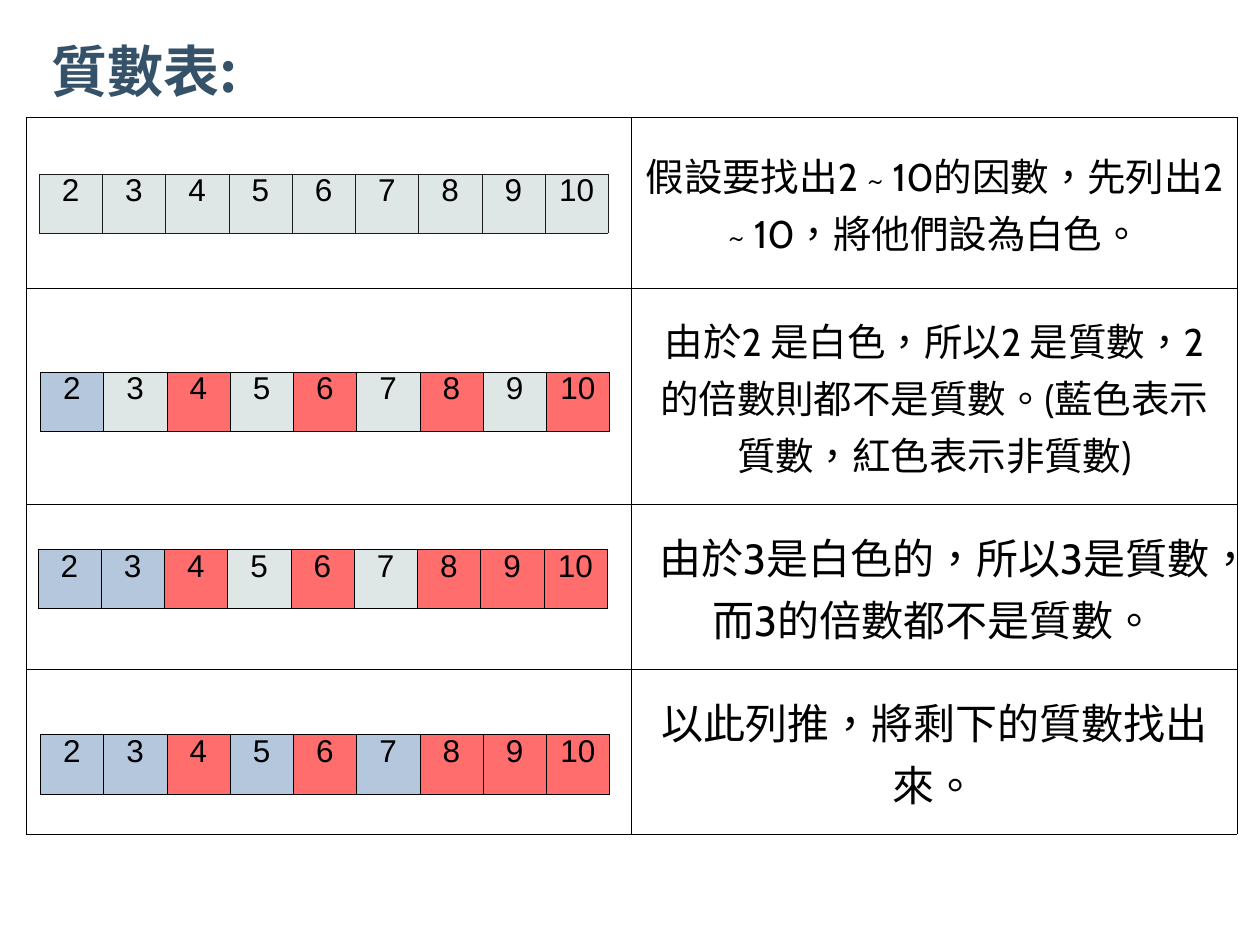
from dataclasses import dataclass

from lxml.etree import SubElement
from pptx import Presentation
from pptx.dml.color import RGBColor
from pptx.enum.text import MSO_ANCHOR, PP_ALIGN
from pptx.oxml.ns import qn
from pptx.util import Inches, Pt


@dataclass(frozen=True)
class Theme:
    ink: str = "000000"
    edge: str = "1C1C1C"
    title: str = "355269"
    paper: str = "FFFFFF"
    open: str = "DEE7E5"
    prime: str = "B4C7DC"
    multi: str = "FF6D6D"
    head: int = 32
    large: int = 24
    body: int = 22
    num: int = 18
    hair: float = 0.06
    latin: str = "Cabin"
    digit: str = "Arial"
    asian: str = "Noto Sans CJK SC"


def write(frame, text, size, font, color, asian, bold=False, align=None, space=None):
    para = frame.paragraphs[0]
    para.alignment = align
    para.line_spacing = space
    run = para.add_run()
    run.text = text
    run.font.size = Pt(size)
    run.font.bold = bold
    run.font.name = font
    run.font.color.rgb = RGBColor.from_string(color)
    props = run.font._element
    props.set("lang", "zh-TW")
    SubElement(props, qn("a:ea")).set("typeface", asian)


class Deck:
    def __init__(self, theme):
        self.theme = theme
        self.file = Presentation()
        self.file.slide_width, self.file.slide_height = Inches(10), Inches(7.5)
        self.slide = self.file.slides.add_slide(self.file.slide_layouts[6])

    def title(self, text, left, top, width, height):
        box = self.slide.shapes.add_textbox(
            Inches(left), Inches(top), Inches(width), Inches(height))
        box.text_frame.word_wrap = True
        write(box.text_frame, text, size=self.theme.head, font=self.theme.asian,
              color=self.theme.title, asian=self.theme.asian, bold=True)

    def grid(self, left, top, cols, rows):
        shape = self.slide.shapes.add_table(
            len(rows), len(cols), Inches(left), Inches(top),
            Inches(sum(cols)), Inches(sum(rows)))
        table = shape.table
        table.first_row = table.horz_banding = False
        for col, width in zip(table.columns, cols):
            col.width = Inches(width)
        for row, height in zip(table.rows, rows):
            row.height = Inches(height)
        return table

    def cell(self, cell, fill, edge):
        # Borders come before the fill in the cell properties
        props = cell._tc.get_or_add_tcPr()
        for side in ("lnL", "lnR", "lnT", "lnB"):
            line = SubElement(props, qn(f"a:{side}"), w=str(Pt(self.theme.hair)))
            solid = SubElement(line, qn("a:solidFill"))
            SubElement(solid, qn("a:srgbClr"), val=edge)
        cell.fill.solid()
        cell.fill.fore_color.rgb = RGBColor.from_string(fill)

    def steps(self, left, top, cols, rows, notes):
        theme = self.theme
        table = self.grid(left, top, cols, rows)
        for cell in table.iter_cells():
            self.cell(cell, theme.paper, theme.ink)
        for row, (text, size) in enumerate(notes):
            cell = table.cell(row, 1)
            cell.vertical_anchor = MSO_ANCHOR.MIDDLE
            write(cell.text_frame, text, size=size, font=theme.latin, color=theme.ink,
                  asian=theme.asian, align=PP_ALIGN.CENTER, space=1.02)

    def strip(self, left, top, primes, multis, edge):
        theme = self.theme
        nums = range(2, 11)
        table = self.grid(left, top, [4.52 / len(nums)] * len(nums), [0.47])
        for cell, num in zip(table.iter_cells(), nums):
            fill = (theme.prime if num in primes
                    else theme.multi if num in multis else theme.open)
            self.cell(cell, fill, edge)
            write(cell.text_frame, str(num), size=theme.num, font=theme.digit,
                  color=theme.ink, asian=theme.asian, align=PP_ALIGN.CENTER, space=0.76)


def main():
    theme = Theme()
    deck = Deck(theme)

    # Steps of the sieve
    deck.steps(0.21, 0.93, [4.8, 4.81], [1.36, 1.71, 1.31, 1.31], [
        ("假設要找出2 ~ 10的因數，先列出2 ~ 10，將他們設為白色。", theme.body),
        ("由於2 是白色，所以2 是質數，2 的倍數則都不是質數。(藍色表示質數，紅色表示非質數)",
         theme.body),
        ("由於3是白色的，所以3是質數，而3的倍數都不是質數。", theme.large),
        ("以此列推，將剩下的質數找出來。", theme.large),
    ])

    # Title
    deck.title("質數表:", 0.31, 0.24, 4.02, 0.5)

    # Number strips, one for each step
    evens = {4, 6, 8, 10}
    for left, top, primes, multis, edge in (
        (0.31, 1.38, set(), set(), theme.edge),
        (0.32, 2.95, {2}, evens, theme.ink),
        (0.3, 4.36, {2, 3}, evens | {9}, theme.ink),
        (0.32, 5.83, {2, 3, 5, 7}, evens | {9}, theme.ink),
    ):
        deck.strip(left, top, primes, multis, edge)

    deck.file.save("out.pptx")


if __name__ == "__main__":
    main()
